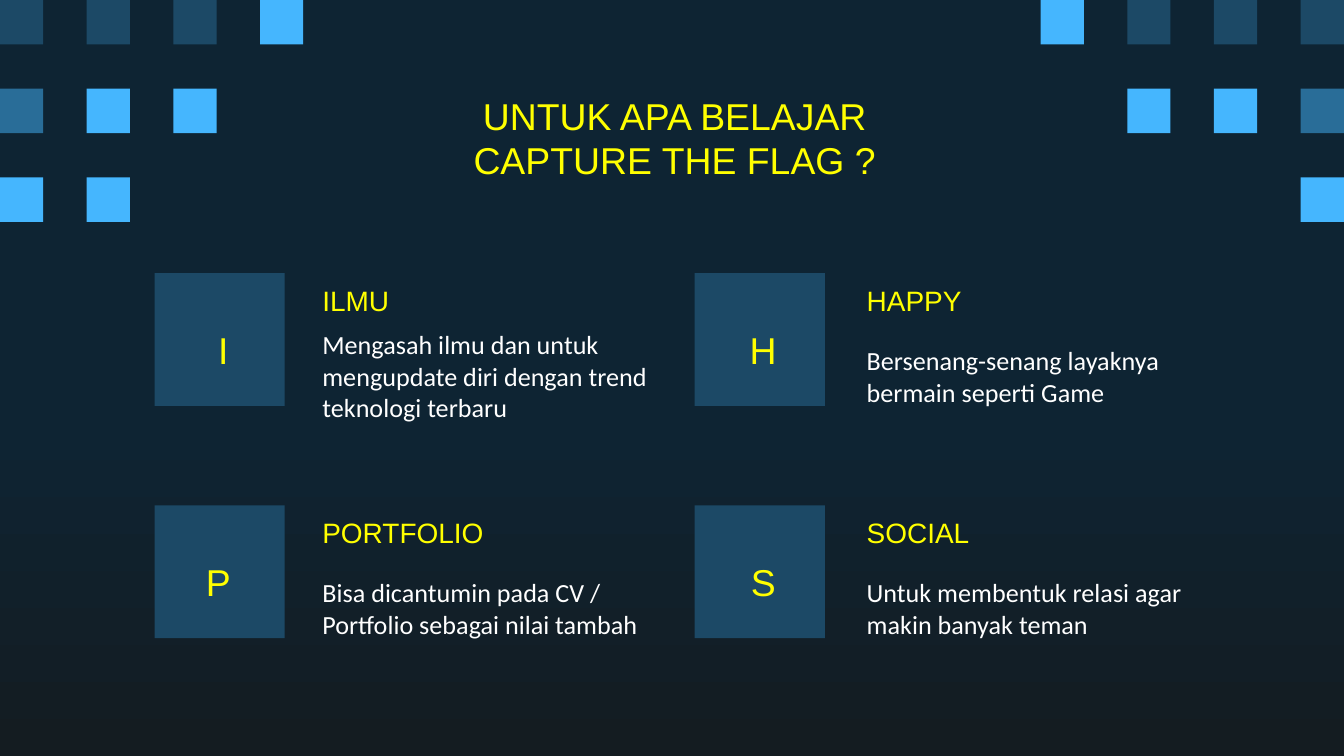
import copy
from dataclasses import dataclass

import pptx
import pptx.dml.color
import pptx.enum.shapes
import pptx.enum.text
import pptx.oxml.ns
import pptx.util

Pt = pptx.util.Pt
ALIGN = pptx.enum.text.PP_ALIGN
ANCHOR = pptx.enum.text.MSO_ANCHOR


@dataclass(frozen=True)
class Theme:
    night: str = "0E2433"
    dusk: str = "141C21"
    dark: str = "1C4966"
    medium: str = "296D98"
    bright: str = "45B6FE"
    yellow: str = "FFFF00"
    white: str = "FFFFFF"
    title_size: int = 20
    heading_size: int = 15
    body_size: float = 14


THEME = Theme()
WIDTH, HEIGHT = 720, 405

# Decorative squares: column and row step, and the colours row by row
SQUARE = (23.2, 23.8)
STEP = (46.44, 47.52)
LEFT_ROWS = [
    [THEME.dark, THEME.dark, THEME.dark, THEME.bright],
    [THEME.medium, THEME.bright, THEME.bright],
    [THEME.bright, THEME.bright],
]
# Right rows run from the slide edge inwards
RIGHT_ROWS = [
    [THEME.dark, THEME.dark, THEME.dark, THEME.bright],
    [THEME.medium, THEME.bright, THEME.bright],
    [THEME.bright],
]

# Reasons: tile left and text left for each column, top for each row
COLUMNS = [(82.8, 165.6), (372.1, 457.2)]
ROW_TOPS = [146.3, 270.7]
TILE = (69.8, 71.2)
# Letter, its offset inside the tile, heading, body
REASONS = [
    [("I", 17, "ILMU",
      "Mengasah ilmu dan untuk mengupdate diri dengan trend teknologi terbaru"),
     ("H", 17, "HAPPY", "Bersenang-senang layaknya bermain seperti Game")],
    [("P", 14.4, "PORTFOLIO",
      "Bisa dicantumin pada CV / Portfolio sebagai nilai tambah"),
     ("S", 17, "SOCIAL", "Untuk membentuk relasi agar makin banyak teman")],
]

# Text formats: font, size, colour, alignment, anchor, margins (l, t, r, b)
TITLE = ("Arial", THEME.title_size, THEME.yellow, ALIGN.CENTER, ANCHOR.TOP,
         (3.6, 7.2, 0, 7.2))
HEADING = ("Arial", THEME.heading_size, THEME.yellow, ALIGN.LEFT,
           ANCHOR.MIDDLE, (7.2,) * 4)
BODY = ("Calibri", THEME.body_size, THEME.white, ALIGN.LEFT,
        ANCHOR.MIDDLE, (7.2,) * 4)


def rgb(value):
    return pptx.dml.color.RGBColor.from_string(value)


def apply_format(target, values):
    for name, value in values.items():
        setattr(target, name, value)


def paint_background(slide):
    fill = slide.background.fill
    fill.gradient()
    fill.gradient_angle = 270
    stop_list = next(slide.element.iter(pptx.oxml.ns.qn("a:gsLst")))
    stop_list.insert(0, copy.deepcopy(stop_list[0]))
    stops = [(0, THEME.night), (0.56, THEME.night), (1, THEME.dusk)]
    for stop, (position, color) in zip(fill.gradient_stops, stops):
        stop.position = position
        stop.color.rgb = rgb(color)


def add_block(slide, left, top, size, color):
    shape = slide.shapes.add_shape(
        pptx.enum.shapes.MSO_SHAPE.RECTANGLE,
        Pt(left), Pt(top), Pt(size[0]), Pt(size[1]))
    shape.shadow.inherit = False
    shape.fill.solid()
    shape.fill.fore_color.rgb = rgb(color)
    shape.line.fill.background()


def add_text(slide, text, left, top, width, height, text_format):
    font_name, size, color, alignment, anchor, margins = text_format
    box = slide.shapes.add_textbox(Pt(left), Pt(top), Pt(width), Pt(height))
    frame = box.text_frame
    apply_format(frame, {"word_wrap": True, "vertical_anchor": anchor})
    for side, margin in zip(("left", "top", "right", "bottom"), margins):
        setattr(frame, f"margin_{side}", Pt(margin))
    paragraph = frame.paragraphs[0]
    paragraph.text = text
    paragraph.alignment = alignment
    for run in paragraph.runs:
        apply_format(run.font, {"name": font_name, "size": Pt(size)})
        run.font.color.rgb = rgb(color)


def add_corner(slide, rows, start, direction):
    for row, colors in enumerate(rows):
        for column, color in enumerate(colors):
            add_block(slide, start + direction * column * STEP[0],
                      row * STEP[1], SQUARE, color)


def add_reason(slide, tile_left, text_left, top, reason):
    letter, offset, heading, body = reason
    add_block(slide, tile_left, top, TILE, THEME.dark)
    add_text(slide, letter, tile_left + offset, top + 21.6, 36, 28.8, TITLE)
    add_text(slide, heading, text_left, top - 3.2, 212.4, 35.4, HEADING)
    add_text(slide, body, text_left, top + 32.4, 190.8, 45.4, BODY)


def main():
    presentation = pptx.Presentation()
    apply_format(presentation,
                 {"slide_width": Pt(WIDTH), "slide_height": Pt(HEIGHT)})
    slide = presentation.slides.add_slide(presentation.slide_layouts[6])
    paint_background(slide)

    # Corner decoration
    add_corner(slide, LEFT_ROWS, 0, 1)
    add_corner(slide, RIGHT_ROWS, WIDTH - SQUARE[0], -1)

    # Title
    add_text(slide, "UNTUK APA BELAJAR\nCAPTURE THE FLAG ?",
             56.2, 42.5, 607, 26, TITLE)

    # Grid of reasons
    for top, reasons in zip(ROW_TOPS, REASONS):
        for (tile_left, text_left), reason in zip(COLUMNS, reasons):
            add_reason(slide, tile_left, text_left, top, reason)

    presentation.save("out.pptx")


if __name__ == "__main__":
    main()
